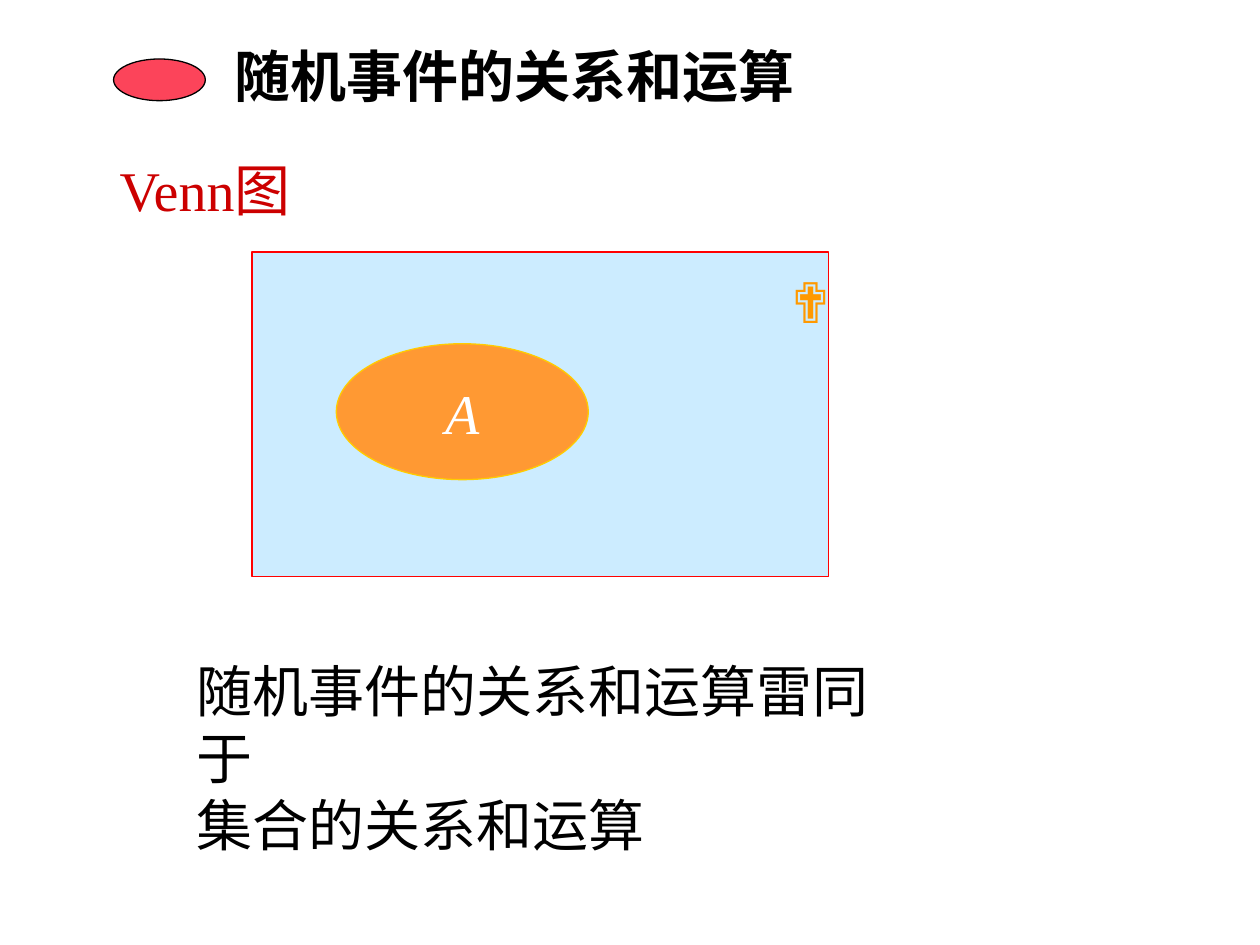
from pptx import Presentation
from pptx.dml.color import RGBColor
from pptx.enum.shapes import MSO_SHAPE as Shape
from pptx.enum.text import MSO_ANCHOR as Anchor, PP_ALIGN as Align
from pptx.util import Cm, Pt

BLACK = RGBColor(0, 0, 0)
WHITE = RGBColor(255, 255, 255)
RED = RGBColor(255, 0, 0)
DARK_RED = RGBColor(0xCC, 0, 0)
PALE_BLUE = RGBColor(0xCC, 0xEC, 0xFF)
ORANGE = RGBColor(0xFF, 0x99, 0x33)
DEEP_ORANGE = RGBColor(0xFF, 0x99, 0)
GOLD = RGBColor(0xFF, 0xCC, 0)
PINK = RGBColor(0xFC, 0x44, 0x5A)

SERIF, SANS = "Times New Roman", "Arial"
TEXT_SIZE, LINE_WIDTH = Pt(32), Pt(0.74)

SHAPES = [
    (Shape.RECTANGLE, (5.08, 5.08, 11.63, 6.55), PALE_BLUE, RED, ""),
    (Shape.OVAL, (6.78, 6.93, 5.08, 2.74), ORANGE, GOLD, "A"),
    (Shape.OVAL, (2.29, 1.19, 1.85, 0.84), PINK, BLACK, ""),
]
TEXTS = [
    ("Venn图", (2.16, 3.02, 4.34, 1.63), SERIF, DARK_RED, False, False),
    ("✟", (15.62, 5.26, 1.47, 1.63), SANS, DEEP_ORANGE, False, True),
    ("随机事件的关系和运算雷同于\n集合的关系和运算",
     (3.71, 13.11, 15.19, 2.97), SERIF, BLACK, False, False),
    ("随机事件的关系和运算", (4.48, 0.71, 13.02, 1.78), SERIF, BLACK, True, True),
]


def write(box, text, font, color, bold=False, italic=False, wrap=False):
    frame = box.text_frame
    frame.word_wrap = wrap
    frame.text = text
    for para in frame.paragraphs:
        for span in para.runs:
            span.font.name = font
            span.font.size = TEXT_SIZE
            span.font.color.rgb = color
            span.font.bold = bold
            span.font.italic = italic


deck = Presentation()
deck.slide_width, deck.slide_height = Cm(25.4), Cm(19.05)
page = deck.slides.add_slide(deck.slide_layouts[6])

for kind, place, fill, line, label in SHAPES:
    shape = page.shapes.add_shape(kind, *map(Cm, place))
    shape.shadow.inherit = False
    shape.fill.solid()
    shape.fill.fore_color.rgb = fill
    shape.line.color.rgb = line
    shape.line.width = LINE_WIDTH
    if label:
        write(shape, label, SERIF, WHITE, italic=True)
        shape.text_frame.vertical_anchor = Anchor.MIDDLE
        shape.text_frame.paragraphs[0].alignment = Align.CENTER

for text, place, font, color, bold, wrap in TEXTS:
    box = page.shapes.add_textbox(*map(Cm, place))
    write(box, text, font, color, bold=bold, wrap=wrap)

deck.save("out.pptx")
